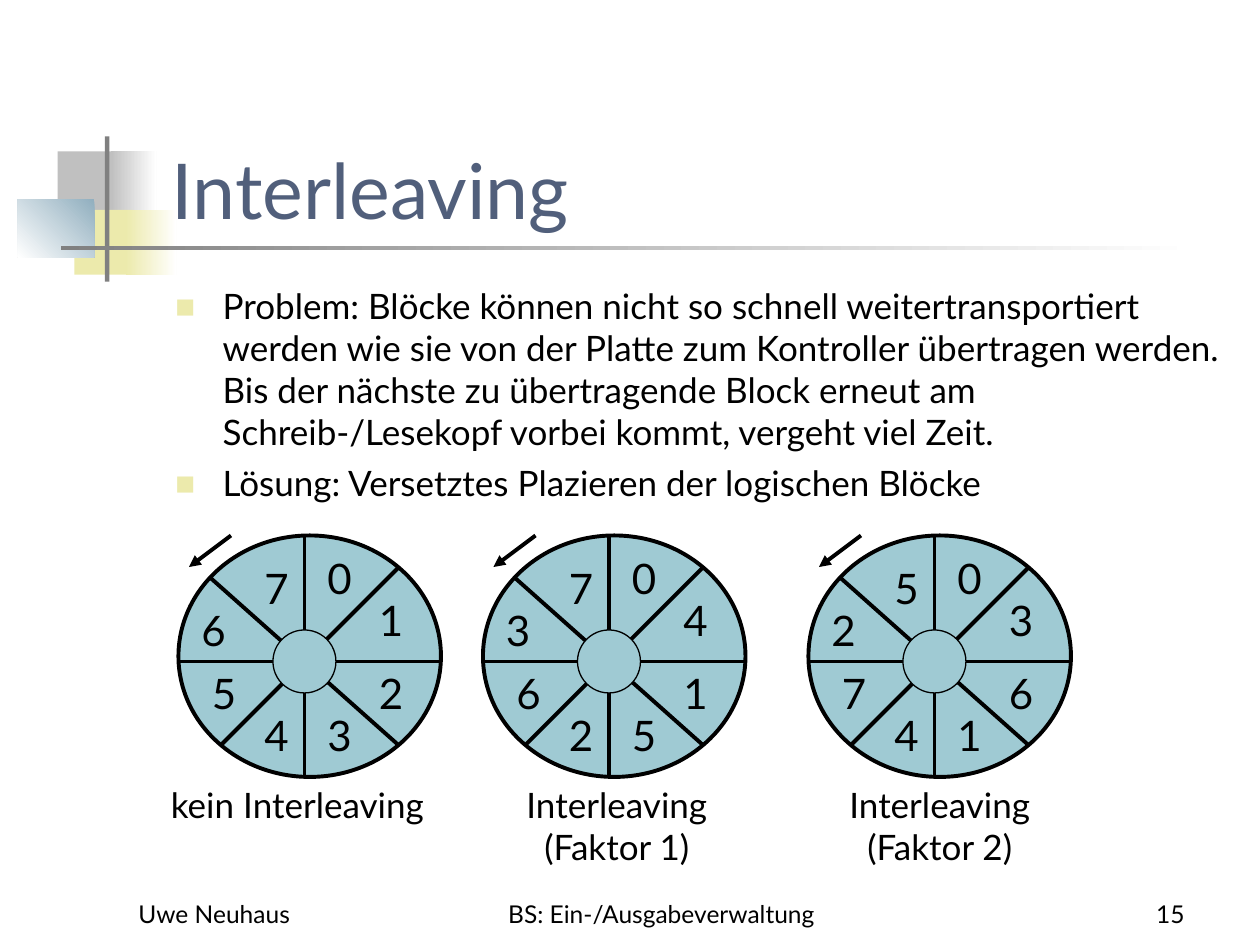
from lxml import etree
from pptx import Presentation
from pptx.dml.color import RGBColor
from pptx.enum import shapes, text
from pptx.oxml.ns import qn
from pptx.util import Pt

FONT = "Lato"
BLACK, WHITE, GRAY, YELLOW, DISK = "000000", "FFFFFF", "C0C0C0", "ECEAAC", "9FCAD3"
LEFT, CENTER, RIGHT = text.PP_ALIGN.LEFT, text.PP_ALIGN.CENTER, text.PP_ALIGN.RIGHT
RECT, OVAL = shapes.MSO_SHAPE.RECTANGLE, shapes.MSO_SHAPE.OVAL

# Relative to the upper left corner of a disk
DISK_W, DISK_H = 150, 138
SPOKES = [(72, 0, 72, 138), (0, 72, 150, 72), (18, 24, 126, 120), (24, 120, 126, 18)]
SECTORS = [(78, 6), (107.5, 30), (107.5, 72), (78, 96),
           (42, 96), (12, 72), (6, 36), (42, 12)]  # clockwise from the top

# Left edge, block numbers clockwise, caption, caption centre
DISKS = [
    (102, "01234567", "kein Interleaving", 170),
    (276, "04152637", "Interleaving\n(Faktor 1)", 352.5),
    (462, "03614725", "Interleaving\n(Faktor 2)", 537),
]


def rgb(color):
    return RGBColor.from_string(color)


def add_xml(parent, tag, **attrs):
    return etree.SubElement(parent, qn(tag), attrs)


def format_text(tf, size, color=BLACK, align=LEFT):
    for p in tf.paragraphs:
        p.alignment = align
        for r in p.runs:
            r.font.name, r.font.size = FONT, Pt(size)
            r.font.color.rgb = rgb(color)


def place(sp, x, y, w, h):
    sp.left, sp.top, sp.width, sp.height = Pt(x), Pt(y), Pt(w), Pt(h)


def add_text(slide, box, content, size, align=LEFT, anchor=text.MSO_ANCHOR.TOP, wrap=True):
    sp = slide.shapes.add_textbox(*map(Pt, box))
    tf = sp.text_frame
    tf.text = content
    tf.word_wrap, tf.vertical_anchor = wrap, anchor
    format_text(tf, size, align=align)


def add_shape(slide, kind, box, fill, line_width=None):
    sp = slide.shapes.add_shape(kind, *map(Pt, box))
    sp.shadow.inherit = False
    sp.fill.solid()
    sp.fill.fore_color.rgb = rgb(fill)
    if line_width is None:
        sp.line.fill.background()
    else:
        sp.line.color.rgb = rgb(BLACK)
        sp.line.width = Pt(line_width)
    return sp


def add_gradient(slide, box, start, end, angle=0):
    fill = add_shape(slide, RECT, box, start).fill
    fill.gradient()
    fill.gradient_angle = angle
    for stop, color in zip(fill.gradient_stops, (start, end)):
        stop.color.rgb = rgb(color)


def add_line(slide, x, y, ends, arrow=False):
    x1, y1, x2, y2 = ends
    line = slide.shapes.add_connector(shapes.MSO_CONNECTOR.STRAIGHT,
                                      Pt(x + x1), Pt(y + y1), Pt(x + x2), Pt(y + y2))
    line.line.color.rgb = rgb(BLACK)
    line.line.width = Pt(2.25)
    props = line.element.spPr
    if arrow:
        add_xml(props.find(qn("a:ln")), "a:tailEnd", type="triangle")
    add_xml(props, "a:effectLst")


def add_ornament(slide, x, y):
    """Overlapping squares and crossing bars beside the title."""
    add_shape(slide, RECT, (x + 23, y + 8.5, 35, 37.5), GRAY)
    add_gradient(slide, (x + 53.5, y + 8.5, 26, 37.5), GRAY, WHITE)
    add_shape(slide, RECT, (x + 32.5, y + 42, 33.5, 37), YELLOW)
    add_gradient(slide, (x + 62, y + 42, 29, 37), YELLOW, WHITE)
    add_gradient(slide, (x, y + 36, 44, 33), "91AFBF", WHITE, angle=225)
    add_shape(slide, RECT, (x + 50, y, 2.5, 83), "808080")
    add_gradient(slide, (x + 25, y + 62.5, 648, 2.5), "808080", WHITE)


def fill_title(sp, box, content):
    place(sp, *box)
    tf = sp.text_frame
    tf.text = content
    tf.auto_size, tf.vertical_anchor = text.MSO_AUTO_SIZE.NONE, text.MSO_ANCHOR.BOTTOM
    format_text(tf, 44, "515F7B")


def fill_list(sp, box, items):
    place(sp, *box)
    tf = sp.text_frame
    tf.text = "\n".join(items)
    tf.auto_size = text.MSO_AUTO_SIZE.NONE
    format_text(tf, 20)
    for p in tf.paragraphs:
        p.space_before = Pt(5)
        props = p.runs[0].font and p.element.get_or_add_pPr() if hasattr(p, "element") \
            else p._p.get_or_add_pPr()
        props.set("marL", str(Pt(27)))
        props.set("indent", str(-Pt(27)))
        add_xml(add_xml(props, "a:buClr"), "a:srgbClr", val=YELLOW)
        add_xml(props, "a:buSzPct", val="60000")
        add_xml(props, "a:buFont", typeface=FONT)
        add_xml(props, "a:buChar", char="■")


def add_disk(slide, x, y, blocks, caption, caption_center):
    add_shape(slide, OVAL, (x, y, DISK_W, DISK_H), DISK, 2.25)
    for spoke in SPOKES:
        add_line(slide, x, y, spoke)
    add_shape(slide, OVAL, (x + 54, y + 54, 36, 36), DISK, 0.75)
    for block, (dx, dy) in zip(blocks, SECTORS):
        add_text(slide, (x + dx, y + dy, 28, 36), block, 24, wrap=False)
    add_line(slide, x, y, (30, 0, 6, 18), arrow=True)
    add_text(slide, (caption_center - 85, y + DISK_H, 170, 55), caption, 20, CENTER)


def add_footer(slide, y):
    for x, w, content, align in [(72, 150, "Uwe Neuhaus", LEFT),
                                 (264, 228, "BS: Ein-/Ausgabeverwaltung", CENTER),
                                 (534, 150, "15", RIGHT)]:
        add_text(slide, (x, y, w, 36), content, 14, align, text.MSO_ANCHOR.BOTTOM)


def main():
    prs = Presentation()
    prs.slide_width, prs.slide_height = Pt(720), Pt(540)
    slide = prs.slides.add_slide(prs.slide_layouts[1])
    title, body = slide.placeholders
    add_ornament(slide, 10, 78)
    for sp in (title, body):  # bring in front of the ornament
        sp.element.getparent().append(sp.element)
    fill_title(title, (91, 48, 613, 90), "Interleaving")
    fill_list(body, (93, 159, 612, 324), [
        "Problem: Blöcke können nicht so schnell weitertransportiert werden wie sie "
        "von der Platte zum Kontroller übertragen werden. Bis der nächste zu "
        "übertragende Block erneut am Schreib-/Lesekopf vorbei kommt, vergeht viel Zeit.",
        "Lösung: Versetztes Plazieren der logischen Blöcke",
    ])
    for x, blocks, caption, center in DISKS:
        add_disk(slide, x, 306, blocks, caption, center)
    add_footer(slide, 498)
    prs.save("out.pptx")


if __name__ == "__main__":
    main()
